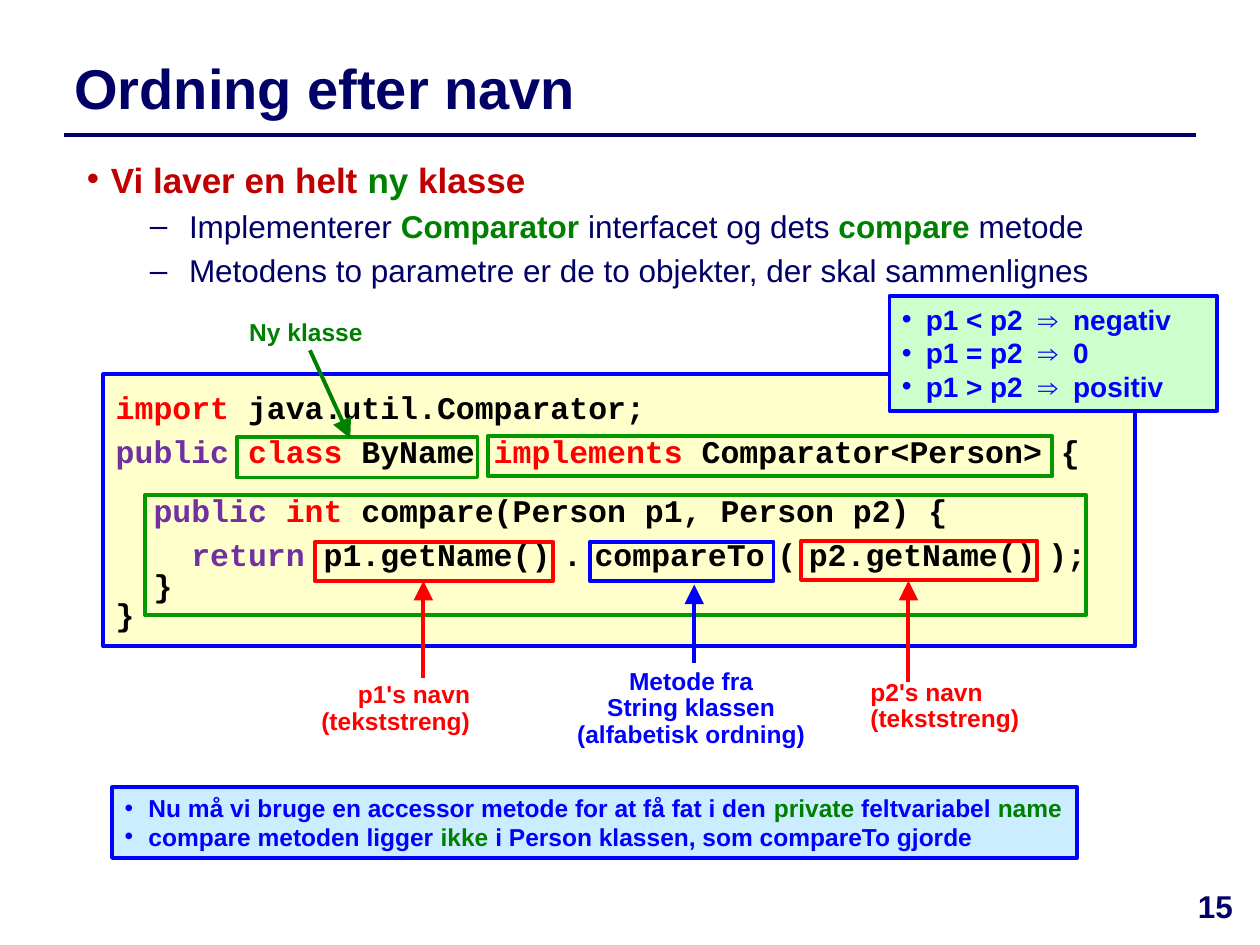
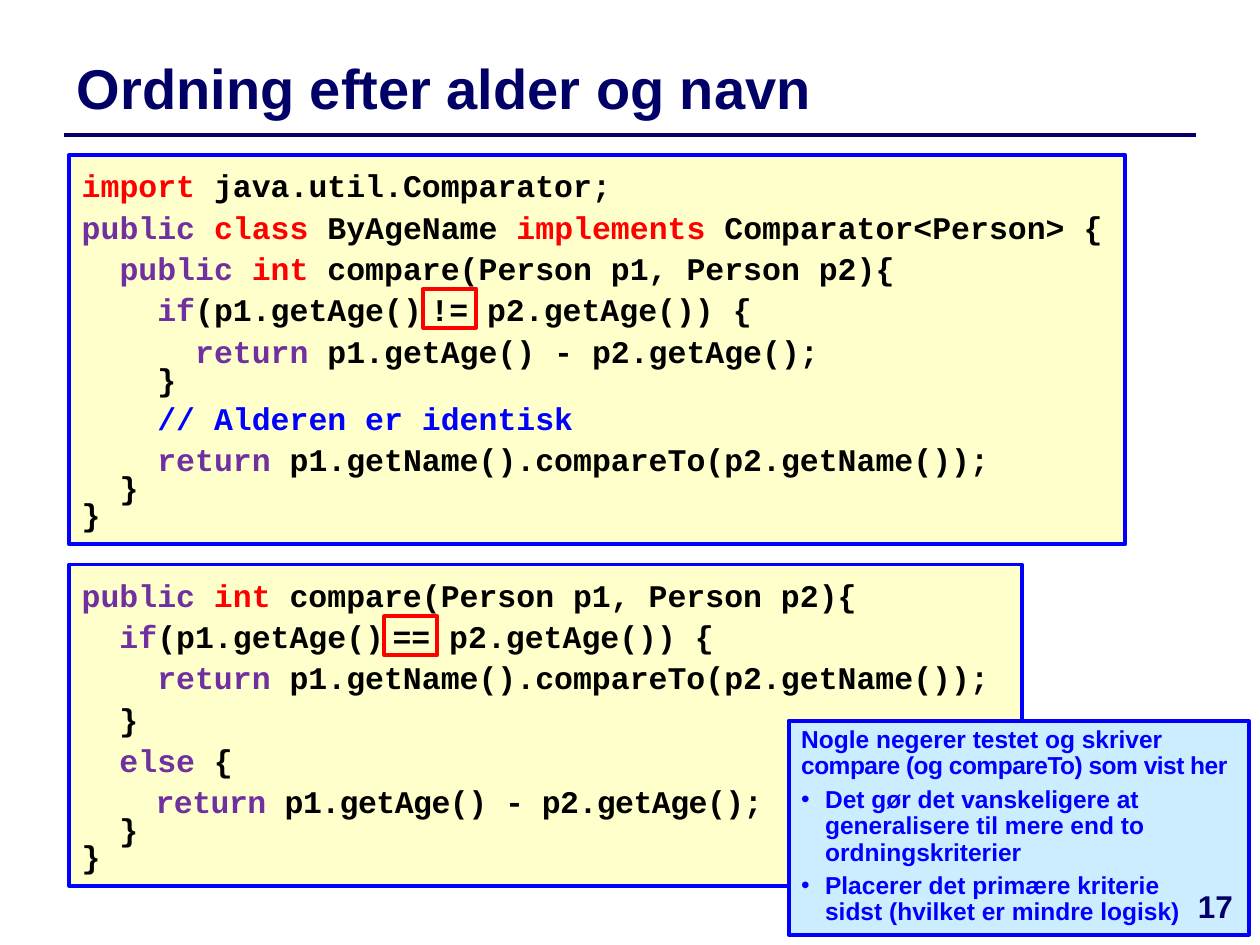
from copy import deepcopy
from itertools import groupby

from lxml import etree
from pptx import Presentation
from pptx.dml.color import RGBColor
from pptx.enum import shapes, text
from pptx.oxml import ns
from pptx.util import Inches, Pt

# ---- Theme ----
THEME = {
    "colours": {
        "navy": "000066", "blue": "0000FF", "red": "FF0000", "crimson": "C00000",
        "green": "008000", "leaf": "009900", "purple": "7030A0", "black": "000000",
        "cream": "FFFFCC", "mint": "CCFFCC", "sky": "CCECFF",
    },
    "sizes": {"title": 32, "lead": 20, "code": 18, "detail": 18, "page": 18,
              "rule": 16, "note": 14},
    "font": "Arial", "code_font": "Courier New", "outline": 2.25,
}
KEYWORDS = {
    **dict.fromkeys(("import", "class", "implements", "int"), "red"),
    **dict.fromkeys(("public", "return", "if", "else"), "purple"),
}
NARROW = "·"  # stands for a small space in the code
ALIGN = text.PP_ALIGN

# ---- Content: runs are (text, colour) or (text, colour, bold) ----
BULLET = {"bullet": "•", "margin": 0.19, "hang": 0.19}
DASH = {"bullet": "–", "margin": 0.81, "hang": 0.31, "level": 1,
        "size": "detail", "line": 0.9, "before": 6.2}

BY_NAME = {
    "title": "Ordning efter navn", "title_left": 0.49, "page": "15", "layout": 1,
    "body_at": (0.59, 1.27, 8.98, 1.01),
    "body": [
        {**BULLET, "size": "lead", "line": 0.8,
         "runs": [("Vi laver en helt ", "crimson"), ("ny", "green"), (" klasse", "crimson")]},
        {**DASH, "runs": [("Implementerer ", "navy", False), ("Comparator", "green"),
                          (" interfacet og dets ", "navy", False), ("compare", "green"),
                          (" metode", "navy", False)]},
        {**DASH, "runs": [("Metodens to parametre er de to objekter, der skal sammenlignes",
                           "navy", False)]},
    ],
    "code": [{
        "at": (0.82, 2.97, 8.19, 2.16), "top": 0.11, "before": 3.6, "gap": 12,
        "wide_before": {"  public int compare(Person p1, Person p2) {": 12},
        "lines": [
            "import java.util.Comparator;",
            "public class ByName implements Comparator<Person> {",
            "  public int compare(Person p1, Person p2) {",
            "    return p1.getName()·.·compareTo·(·p2.getName()·);",
            "  }",
            "}",
        ],
    }],
    "markers": [
        ((2.5, 4.3, 1.89, 0.31), "red"), ((6.36, 4.29, 1.87, 0.31), "red"),
        ((4.68, 4.3, 1.46, 0.31), "blue"), ((3.87, 3.46, 4.48, 0.32), "leaf"),
        ((1.15, 3.93, 7.47, 0.95), "leaf"), ((1.88, 3.47, 1.91, 0.32), "leaf"),
    ],
    "arrows": [
        ((3.36, 5.38, 3.36, 4.61), "red"), ((7.21, 5.41, 7.21, 4.61), "red"),
        ((5.51, 5.26, 5.51, 4.64), "blue"), ((2.46, 2.78, 2.78, 3.48), "green"),
    ],
    "labels": [
        ((2.2, 5.37, 1.63, 0.53), "p1's navn (tekststreng)", "red", ALIGN.RIGHT),
        ((6.81, 5.35, 1.65, 0.53), "p2's navn (tekststreng)", "red", ALIGN.LEFT),
        ((4.29, 5.26, 2.39, 0.74), "Metode fra\nString klassen\n(alfabetisk ordning)",
         "blue", ALIGN.CENTER),
        ((1.88, 2.49, 1.16, 0.31), "Ny klasse", "green", ALIGN.LEFT),
    ],
    "notes": [
        {"at": (0.89, 6.25, 7.66, 0.56), "fill": "sky", "top": 0.09, "paragraphs": [
            {**BULLET, "line": 0.8, "runs": [
                ("Nu må vi bruge en accessor metode for at få fat i den ", "blue"),
                ("private", "green"), (" feltvariabel ", "blue"), ("name", "green")]},
            {**BULLET, "line": 0.8, "before": 3, "runs": [
                ("compare metoden ligger ", "blue"), ("ikke", "green"),
                (" i Person klassen, som compareTo gjorde", "blue")]},
        ]},
        {"at": (7.06, 2.35, 2.6, 0.91), "fill": "mint", "top": 0.05, "paragraphs": [
            {**BULLET, "size": "rule", "tabs": (1.08, 1.36), "runs": [
                (f"p1 {sign} p2\t", "blue"), ("⇒\t", "blue", False), (outcome, "blue")]}
            for sign, outcome in (("<", "negativ"), ("=", "0"), (">", "positiv"))
        ]},
    ],
}

BY_AGE_NAME = {
    "title": "Ordning efter alder og navn", "title_left": 0.51, "page": "17", "layout": 5,
    "code": [
        {"at": (0.55, 1.23, 8.38, 3.09), "top": 0.09, "before": 2, "gap": 8, "lines": [
            "import java.util.Comparator;",
            "public class ByAgeName implements Comparator<Person> {",
            "  public int compare(Person p1, Person p2){",
            "    if(p1.getAge()·!= p2.getAge()) {",
            "      return p1.getAge() - p2.getAge();",
            "    }",
            "    // Alderen er identisk",
            "    return p1.getName().compareTo(p2.getName());",
            "  }",
            "}",
        ]},
        {"at": (0.55, 4.48, 7.56, 2.55), "top": 0.09, "before": 2, "gap": 8,
         "condensed": "    return p1.getAge() - p2.getAge();", "lines": [
             "public int compare(Person p1, Person p2){",
             "  if(p1.getAge()·== p2.getAge()) {",
             "    return p1.getName().compareTo(p2.getName());",
             "  }",
             "  else {",
             "    return p1.getAge() - p2.getAge();",
             "  }",
             "}",
         ]},
    ],
    "markers": [((3.36, 2.29, 0.42, 0.31), "red"), ((3.05, 4.89, 0.42, 0.31), "red")],
    "notes": [{"at": (6.26, 5.72, 3.65, 1.7), "fill": "sky", "top": 0.05, "paragraphs": [
        {"line": 0.9, "runs": [("Nogle negerer testet og skriver ", "blue"),
                               ("compare (og compareTo) som vist her", "blue", True, -0.3)]},
        {**BULLET, "line": 0.9, "before": 4, "runs": [
            ("Det gør det vanskeligere at generalisere til mere end to ordningskriterier",
             "blue")]},
        {**BULLET, "line": 0.9, "before": 4, "runs": [
            ("Placerer det primære kriterie\nsidst (hvilket er mindre logisk)", "blue")]},
    ]}],
}


# ---- Text ----
def colour(name):
    return RGBColor.from_string(THEME["colours"][name])


def inches(at):
    return [Inches(value) for value in at]


def apply(target, **values):
    for key, value in values.items():
        setattr(target, key, value)


def add_run(paragraph, words, tint, size, bold=True, squeeze=0, font="font"):
    for index, part in enumerate(words.split("\n")):
        if index:
            paragraph.add_line_break()
            paragraph._p[-1].append(deepcopy(run._r.rPr))
        run = paragraph.add_run()
        run.text = part
        apply(run.font, name=THEME[font], size=Pt(size), bold=bold)
        run.font.color.rgb = colour(tint)
        if squeeze:
            run._r.get_or_add_rPr().set("spc", str(round(squeeze * 100)))


def next_paragraph(frame, first):
    return frame.paragraphs[0] if first else frame.add_paragraph()


def set_indent(paragraph, margin, hang, bullet=None, tabs=()):
    properties = paragraph._p.get_or_add_pPr()
    properties.set("marL", str(Inches(margin)))
    properties.set("indent", str(-Inches(hang)))
    if bullet:
        etree.SubElement(properties, ns.qn("a:buFont"), typeface=THEME["font"])
        etree.SubElement(properties, ns.qn("a:buChar"), char=bullet)
    if tabs:
        stops = etree.SubElement(properties, ns.qn("a:tabLst"))
        for stop in tabs:
            etree.SubElement(stops, ns.qn("a:tab"), pos=str(Inches(stop)), algn="l")


def fill_text(frame, paragraphs):
    for index, entry in enumerate(paragraphs):
        paragraph = next_paragraph(frame, index == 0)
        set_indent(paragraph, entry.get("margin", 0), entry.get("hang", 0),
                   entry.get("bullet"), entry.get("tabs", ()))
        apply(paragraph, level=entry.get("level", 0), line_spacing=entry.get("line", 1.0),
              space_before=Pt(entry.get("before", 0)),
              alignment=entry.get("align", ALIGN.LEFT))
        for words, tint, *style in entry["runs"]:
            add_run(paragraph, words, tint, THEME["sizes"][entry.get("size", "note")], *style)


# ---- Shapes ----
def add_box(slide, at, outline, fill=None, top=0.05):
    box = slide.shapes.add_shape(shapes.MSO_SHAPE.RECTANGLE, *inches(at))
    box.shadow.inherit = False
    box.line.color.rgb = colour(outline)
    box.line.width = Pt(THEME["outline"])
    if fill:
        box.fill.solid()
        box.fill.fore_color.rgb = colour(fill)
    else:
        box.fill.background()
    apply(box.text_frame, word_wrap=True, vertical_anchor=text.MSO_ANCHOR.TOP,
          margin_top=Inches(top))
    return box


def add_line(slide, ends, tint, width, arrow=False):
    line = slide.shapes.add_connector(shapes.MSO_CONNECTOR.STRAIGHT, *inches(ends))
    line.line.color.rgb = colour(tint)
    line.line.width = Pt(width)
    if arrow:
        etree.SubElement(line.line._get_or_add_ln(), ns.qn("a:tailEnd"),
                         type="triangle", w="lg", len="lg")
    etree.SubElement(line._element.spPr, ns.qn("a:effectLst"))


def add_label(slide, at, words, tint, align, size="note", line=0.9):
    label = slide.shapes.add_textbox(*inches(at))
    label.text_frame.word_wrap = True
    fill_text(label.text_frame, [{"runs": [(words, tint)], "align": align,
                                  "size": size, "line": line}])


def add_code(slide, code):
    frame = add_box(slide, code["at"], "blue", "cream", code["top"]).text_frame
    lines = code["lines"]
    for index, line in enumerate(lines):
        paragraph = next_paragraph(frame, index == 0)
        set_indent(paragraph, 0.38, 0.38)
        # Closing braces sit close to the line above, except before an else
        before_else = lines[index + 1:] and lines[index + 1].strip().startswith("else")
        tight = line.strip() == "}" and not before_else
        before = code.get("wide_before", {}).get(line, code["before"])
        apply(paragraph, alignment=ALIGN.LEFT, line_spacing=0.6 if tight else 1.0,
              space_before=Pt(before if index else 0))
        squeeze = -0.3 if line == code.get("condensed") else 0
        comment = line.strip().startswith("//")
        for _, letters in groupby(line, lambda c: (c == NARROW, c.isalpha())):
            token = "".join(letters)
            tint = "blue" if comment else KEYWORDS.get(token, "black")
            size = code["gap"] if token == NARROW else THEME["sizes"]["code"]
            add_run(paragraph, token.replace(NARROW, " "), tint, size,
                    squeeze=squeeze, font="code_font")


def place(holder, at, anchor):
    apply(holder, **dict(zip(("left", "top", "width", "height"), inches(at))))
    apply(holder.text_frame, word_wrap=True, vertical_anchor=anchor,
          auto_size=text.MSO_AUTO_SIZE.NONE)


# ---- Slides ----
def build_slide(deck, content):
    slide = deck.slides.add_slide(deck.slide_layouts[content["layout"]])
    add_line(slide, (0.51, 1.07, 9.49, 1.07), "navy", 2)
    title = slide.shapes.title
    place(title, (content["title_left"], 0.36, 9.49, 0.67), text.MSO_ANCHOR.MIDDLE)
    fill_text(title.text_frame, [{"runs": [(content["title"], "navy")], "size": "title"}])
    if "body" in content:
        body = slide.placeholders[1]
        place(body, content["body_at"], text.MSO_ANCHOR.TOP)
        fill_text(body.text_frame, content["body"])
    for code in content["code"]:
        add_code(slide, code)
    for at, tint in content["markers"]:
        add_box(slide, at, tint)
    for ends, tint in content.get("arrows", ()):
        add_line(slide, ends, tint, THEME["outline"], arrow=True)
    for label in content.get("labels", ()):
        add_label(slide, *label)
    for note in content["notes"]:
        box = add_box(slide, note["at"], "blue", note["fill"], note["top"])
        fill_text(box.text_frame, note["paragraphs"])
    add_label(slide, (9.29, 6.99, 0.71, 0.5), content["page"], "navy", ALIGN.CENTER,
              "page", 1.0)


def main():
    deck = Presentation()
    apply(deck, slide_width=Inches(10), slide_height=Inches(7.5))
    for content in (BY_NAME, BY_AGE_NAME):
        build_slide(deck, content)
    deck.save("out.pptx")


if __name__ == "__main__":
    main()
